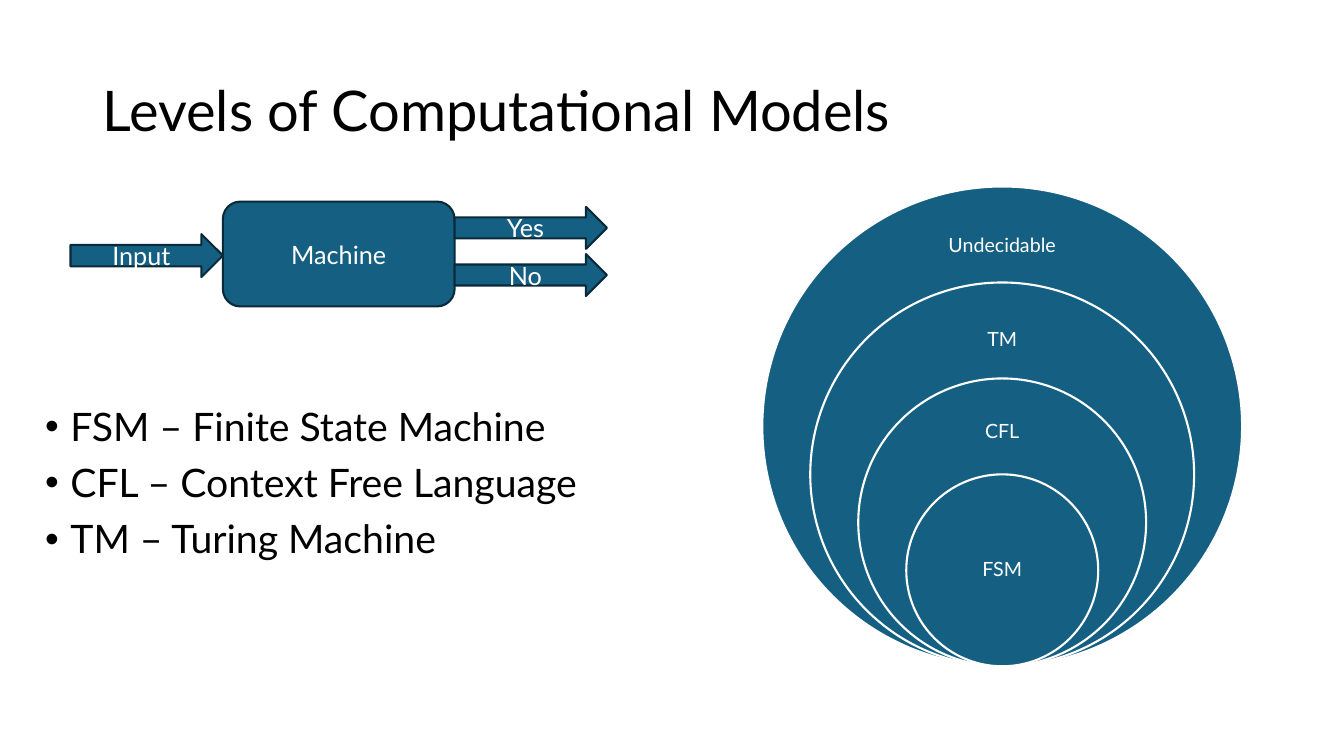
from lxml.etree import SubElement
from pptx import Presentation
from pptx.dml.color import RGBColor
from pptx.enum.shapes import MSO_SHAPE
from pptx.enum.text import MSO_ANCHOR, PP_ALIGN
from pptx.oxml.ns import qn
from pptx.util import Inches, Pt

COLORS = {"text": "000000", "fill": "156082", "edge": "092A39", "light": "FFFFFF"}
FONT = "Lato"
CENTERED = {"alignment": PP_ALIGN.CENTER}
TIGHT = {"line_spacing": 0.9}
RINGS = [("Undecidable", 5, 15), ("TM", 6, 18), ("CFL", 7.5, 22.5), ("FSM", 25, 50)]
FLOW = [
    ("Machine", MSO_SHAPE.ROUNDED_RECTANGLE, (28.4, 0, 43.2, 100)),
    ("Input", MSO_SHAPE.RIGHT_ARROW, (0, 31, 28.4, 41)),
    ("Yes", MSO_SHAPE.RIGHT_ARROW, (71.6, 5, 28.4, 40)),
    ("No", MSO_SHAPE.RIGHT_ARROW, (71.6, 50, 28.4, 40)),
]
MODELS = [
    "FSM – Finite State Machine",
    "CFL – Context Free Language",
    "TM – Turing Machine",
]


def within(box, shares):
    """Return the part of a box given by percent shares of its size."""
    x, y, w, h = box
    left, top, width, height = (share / 100 for share in shares)
    return int(x + left * w), int(y + top * h), int(width * w), int(height * h)


def write(p, text, size, color, formats):
    """Write one formatted run into a paragraph."""
    for name, value in formats.items():
        setattr(p, name, value)
    r = p.add_run()
    r.text = text
    for name, value in {"name": FONT, "size": Pt(size)}.items():
        setattr(r.font, name, value)
    r.font.color.rgb = RGBColor.from_string(COLORS[color])


def add_text(s, box, anchor=MSO_ANCHOR.TOP):
    """Add a wrapping text box and return its text frame."""
    tf = s.shapes.add_textbox(*box).text_frame
    tf.word_wrap = True
    tf.vertical_anchor = anchor
    return tf


def add_shape(s, kind, box, edge):
    """Add a filled and outlined shape."""
    sp = s.shapes.add_shape(kind, *box)
    sp.shadow.inherit = False
    sp.fill.solid()
    sp.fill.fore_color.rgb = RGBColor.from_string(COLORS["fill"])
    sp.line.color.rgb = RGBColor.from_string(COLORS[edge])
    sp.line.width = Pt(1.5)
    return sp


def add_title(s, box):
    """Place the slide title."""
    tf = add_text(s, box, MSO_ANCHOR.MIDDLE)
    write(tf.paragraphs[0], "Levels of Computational Models", 40, "text", TIGHT)


def add_rings(s, box):
    """Nest circles that share their lowest point, each with a label."""
    formats = CENTERED | TIGHT | {"space_after": Pt(5)}
    label_width = Inches(1.34)
    for level, (label, top, height) in enumerate(RINGS):
        inset = 20 * level
        ring = within(box, (inset / 2, inset, 100 - inset, 100 - inset))
        add_shape(s, MSO_SHAPE.OVAL, ring, "light")
        _, y, _, h = within(ring, (0, top, 100, height))
        x = ring[0] + (ring[2] - label_width) // 2
        tf = add_text(s, (x, y, label_width, h), MSO_ANCHOR.MIDDLE)
        write(tf.paragraphs[0], label, 14, "light", formats)


def add_flow(s, box):
    """Draw the machine with its input and output arrows."""
    for label, kind, shares in FLOW:
        sp = add_shape(s, kind, within(box, shares), "edge")
        sp.text_frame.vertical_anchor = MSO_ANCHOR.MIDDLE
        write(sp.text_frame.paragraphs[0], label, 18, "light", CENTERED)


def add_models(s, box):
    """List the abbreviations as bullets."""
    tf = add_text(s, box)
    for i, model in enumerate(MODELS):
        p = tf.add_paragraph() if i else tf.paragraphs[0]
        formats = TIGHT | ({"space_before": Pt(10)} if i else {})
        write(p, model, 28, "text", formats)
        pPr = p._p.get_or_add_pPr()
        pPr.set("marL", str(Inches(0.25)))
        pPr.set("indent", str(-Inches(0.25)))
        SubElement(pPr, qn("a:buFont"), typeface="Arial")
        SubElement(pPr, qn("a:buChar"), char="•")


def main():
    """Build and save the slide."""
    prs = Presentation()
    prs.slide_width, prs.slide_height = Inches(13.33), Inches(7.5)
    s = prs.slides.add_slide(prs.slide_layouts[6])
    page = (0, 0, prs.slide_width, prs.slide_height)
    add_title(s, within(page, (6.9, 5.33, 86.25, 19.33)))
    add_rings(s, within(page, (56.72, 24.67, 35.7, 63.47)))
    add_models(s, within(page, (2.63, 53.2, 42.53, 36.8)))
    add_flow(s, within(page, (5.25, 26.67, 39.91, 13.87)))
    prs.save("out.pptx")


if __name__ == "__main__":
    main()
